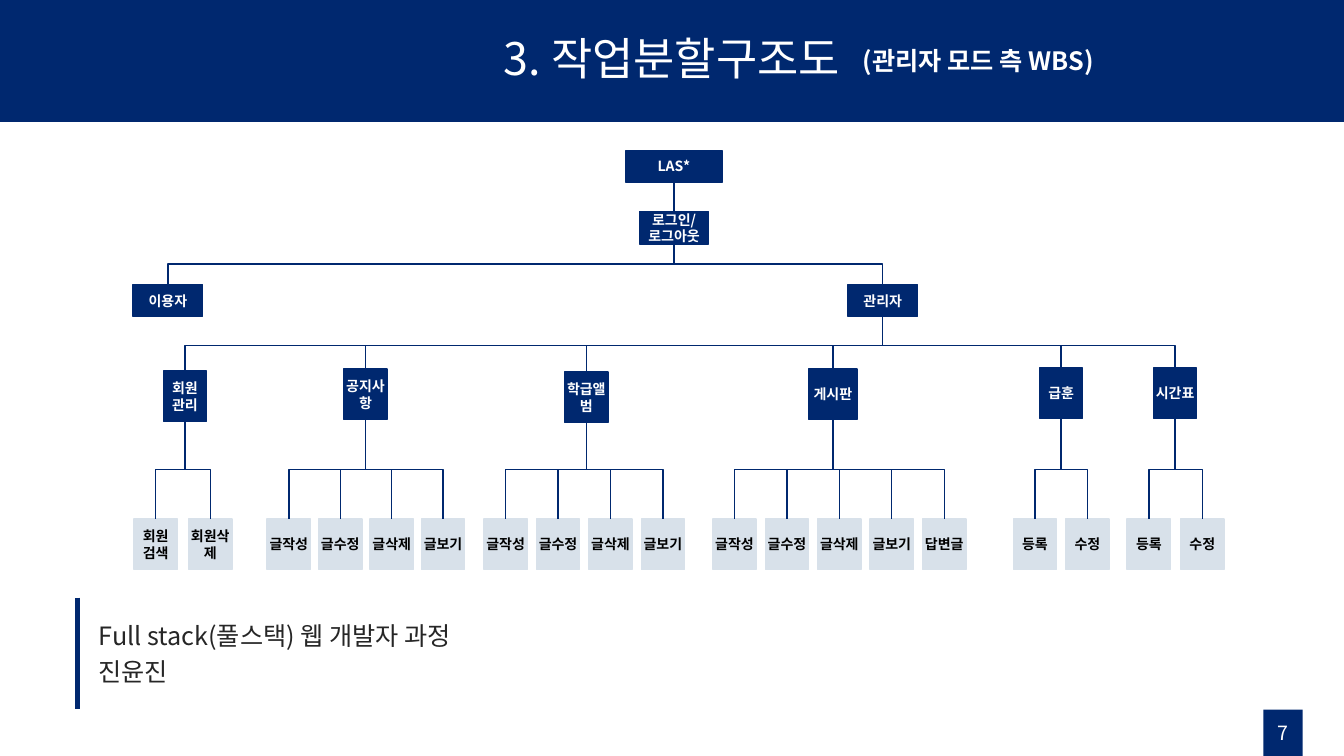
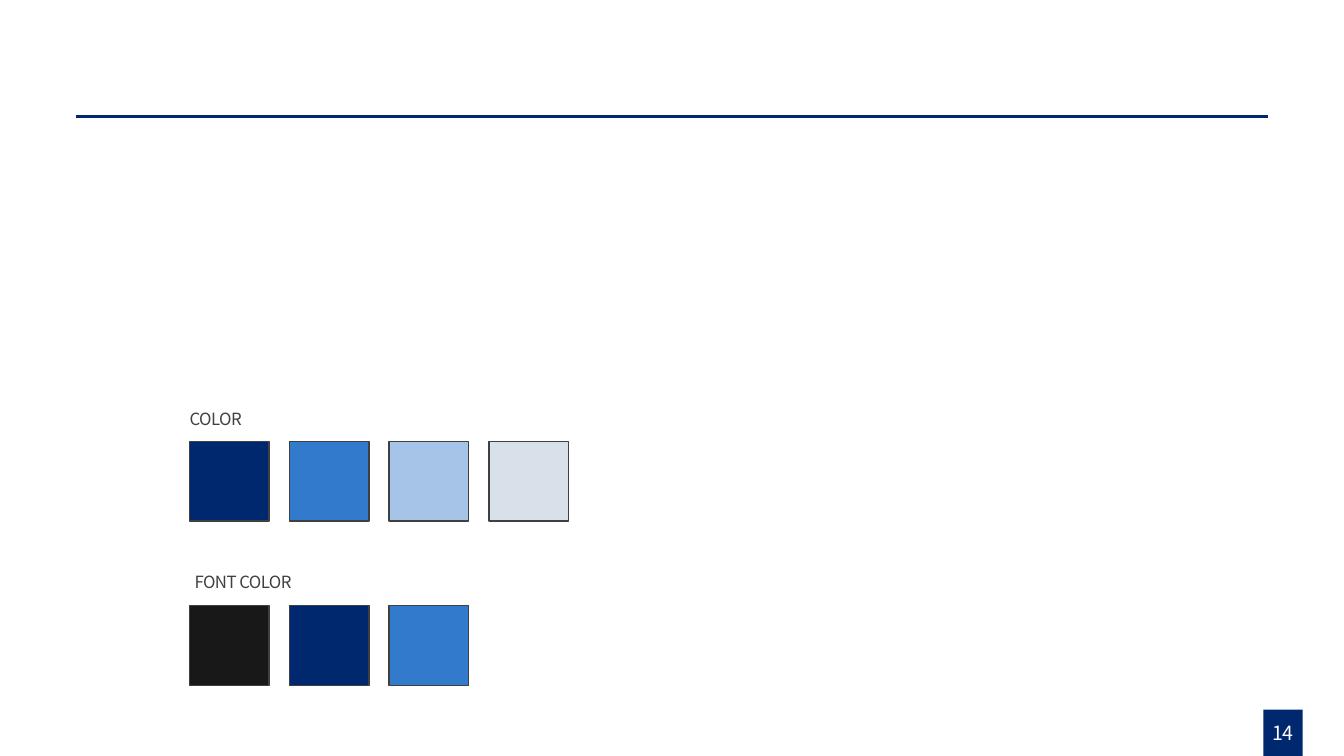
from dataclasses import dataclass

from lxml.etree import SubElement
from pptx import Presentation
from pptx.dml.color import RGBColor
from pptx.enum.shapes import MSO_CONNECTOR, MSO_SHAPE
from pptx.enum.text import MSO_ANCHOR, MSO_AUTO_SIZE, PP_ALIGN
from pptx.oxml.ns import qn
from pptx.util import Inches, Pt


@dataclass(frozen=True)
class Theme:
    font: str = "Noto Sans CJK KR"
    navy: str = "00286F"
    blue: str = "327BCC"
    sky: str = "A6C4E8"
    pale: str = "D8E1EA"
    white: str = "FFFFFF"
    black: str = "000000"
    ink: str = "181818"
    gray: str = "404040"
    dark: str = "262626"
    title: int = 32
    body: int = 18
    page: int = 14
    label: int = 12
    node: int = 10


T = Theme()
WIDE, HIGH = 13.33, 7.5

TITLE = "3. 작업분할구조도"
SUB = "(관리자 모드 측 WBS)"
CREDIT = ["Full stack(풀스택) 웹 개발자 과정", "진윤진"]

# label, box
ROOT = ("LAS*", (6.21, 1.49, 0.95, 0.32))
LOGIN = ("로그인/\n로그아웃", (6.34, 2.1, 0.69, 0.32))
USER = ("이용자", (1.32, 2.82, 0.69, 0.32))
ADMIN = ("관리자", (8.41, 2.82, 0.69, 0.32))

# label, box, left of first task, step between tasks, tasks
MENUS = [
    ("회원\n관리", (1.62, 3.68, 0.43, 0.5), 1.33, 0.54, ["회원\n검색", "회원삭제"]),
    ("공지사항", (3.41, 3.66, 0.43, 0.5), 2.65, 0.51,
     ["글작성", "글수정", "글삭제", "글보기"]),
    ("학급앨범", (5.6, 3.69, 0.43, 0.5), 4.8, 0.52,
     ["글작성", "글수정", "글삭제", "글보기"]),
    ("게시판", (8.02, 3.66, 0.48, 0.5), 7.07, 0.52,
     ["글작성", "글수정", "글삭제", "글보기", "답변글"]),
    ("급훈", (10.31, 3.65, 0.43, 0.5), 10.05, 0.52, ["등록", "수정"]),
    ("시간표", (11.44, 3.65, 0.43, 0.5), 11.18, 0.53, ["등록", "수정"]),
]
TASK_TOP, TASK_W, TASK_H = 5.15, 0.43, 0.5
ROLE_BUS, MENU_BUS, TASK_BUS = 2.62, 3.43, 4.66

# label, label left and top, swatch top, colours
PALETTES = [
    ("COLOR", 1.88, 4.06, 4.38, [T.navy, T.blue, T.sky, T.pale]),
    ("FONT COLOR", 1.93, 5.67, 6.01, [T.ink, T.navy, T.blue]),
]
SWATCH_LEFT, SWATCH, SWATCH_STEP = 1.88, 0.79, 0.99


def rgb(code):
    return RGBColor.from_string(code)


def write(shape, text, size, color, bold=False, align=PP_ALIGN.LEFT,
          anchor=MSO_ANCHOR.TOP, inset=(0.1, 0.05), lead=None, track=None,
          wrap=True):
    """Fill a shape with text, one paragraph for each line."""
    frame = shape.text_frame
    frame.word_wrap = wrap
    frame.auto_size = MSO_AUTO_SIZE.NONE
    frame.vertical_anchor = anchor
    frame.margin_left = frame.margin_right = Inches(inset[0])
    frame.margin_top = frame.margin_bottom = Inches(inset[1])
    for i, row in enumerate(text.split("\n")):
        para = frame.add_paragraph() if i else frame.paragraphs[0]
        para.alignment = align
        if lead:
            para.line_spacing = lead
        run = para.add_run()
        run.text = row
        font = run.font
        font.size, font.bold, font.name = Pt(size), bold, T.font
        font.color.rgb = rgb(color)
        props = run._r.get_or_add_rPr()
        SubElement(props, qn("a:ea")).set("typeface", T.font)
        if track:
            props.set("spc", str(round(track * 100)))


def label(slide, text, box, size, color, **form):
    shape = slide.shapes.add_textbox(*map(Inches, box))
    write(shape, text, size, color, **form)


def rect(slide, box, fill, edge=None):
    shape = slide.shapes.add_shape(MSO_SHAPE.RECTANGLE, *map(Inches, box))
    shape.shadow.inherit = False
    shape.fill.solid()
    shape.fill.fore_color.rgb = rgb(fill)
    if edge:
        shape.line.color.rgb = rgb(edge)
        shape.line.width = Pt(1)
    else:
        shape.line.fill.background()
    return shape


def line(slide, start, end, width=1, kind=MSO_CONNECTOR.STRAIGHT):
    link = slide.shapes.add_connector(kind, *map(Inches, (*start, *end)))
    link.line.color.rgb = rgb(T.navy)
    link.line.width = Pt(width)
    SubElement(link._element.spPr, qn("a:effectLst"))
    return link


def branch(slide, upper, lower, bus):
    """Run an elbow from the foot of one box, along bus, to the top of another."""
    x1, y1 = upper[0] + upper[2] / 2, upper[1] + upper[3]
    x2, y2 = lower[0] + lower[2] / 2, lower[1]
    mid_x, mid_y = (x1 + x2) / 2, (y1 + y2) / 2
    half_w, half_h = (y2 - y1) / 2, abs(x2 - x1) / 2
    link = line(slide, (mid_x - half_w, mid_y - half_h),
                (mid_x + half_w, mid_y + half_h), kind=MSO_CONNECTOR.ELBOW)
    props = link._element.spPr
    frame = props.find(qn("a:xfrm"))
    right = x2 > x1
    frame.set("rot", str((270 if right else 90) * 60000))
    if right:
        frame.set("flipH", "1")
    geom = props.find(qn("a:prstGeom"))
    guides = geom.find(qn("a:avLst"))
    if guides is None:
        guides = SubElement(geom, qn("a:avLst"))
    guide = SubElement(guides, qn("a:gd"))
    guide.set("name", "adj1")
    guide.set("fmla", f"val {round((bus - y1) / (y2 - y1) * 100000)}")


def node(slide, text, box, fill=T.navy, color=T.white):
    shape = rect(slide, box, fill, fill)
    write(shape, text, T.node, color, bold=True, align=PP_ALIGN.CENTER,
          anchor=MSO_ANCHOR.MIDDLE, inset=(0, 0))
    return shape


def footer(slide, page):
    rect(slide, (12.53, 7.04, 0.39, 0.46), T.navy)
    label(slide, str(page), (12.39, 7.1, 0.67, 0.34), T.page, T.white,
          align=PP_ALIGN.CENTER)


def header(slide, text):
    bar = slide.shapes.title
    bar.left, bar.top = Inches(0), Inches(0)
    bar.width, bar.height = Inches(WIDE), Inches(1.21)
    bar.fill.solid()
    bar.fill.fore_color.rgb = rgb(T.navy)
    write(bar, text, T.title, T.white, align=PP_ALIGN.CENTER,
          anchor=MSO_ANCHOR.MIDDLE, lead=0.9)


def tree(slide):
    root, login = node(slide, *ROOT), node(slide, *LOGIN)
    stem = line(slide, (6.69, 1.81), (6.69, 2.1))
    stem.begin_connect(root, 2)
    stem.end_connect(login, 0)
    for text, box in (USER, ADMIN):
        node(slide, text, box)
        branch(slide, LOGIN[1], box, ROLE_BUS)
    for text, box, left, step, tasks in MENUS:
        node(slide, text, box)
        branch(slide, ADMIN[1], box, MENU_BUS)
        for i, task in enumerate(tasks):
            spot = (left + i * step, TASK_TOP, TASK_W, TASK_H)
            node(slide, task, spot, T.pale, T.black)
            branch(slide, box, spot, TASK_BUS)


def chart_slide(deck):
    slide = deck.slides.add_slide(deck.slide_layouts[5])
    header(slide, TITLE)
    label(slide, SUB, (8.46, 0.4, 2.67, 0.4), T.body, T.white, bold=True)
    tree(slide)
    line(slide, (0.77, 5.93), (0.77, 7.03), 3.25)
    for i, text in enumerate(CREDIT):
        label(slide, text, (0.88, 6.02 + i * 0.36, 4.4, 0.47), T.body, T.dark,
              anchor=MSO_ANCHOR.MIDDLE, lead=1.3)
    footer(slide, 7)


def color_slide(deck):
    slide = deck.slides.add_slide(deck.slide_layouts[6])
    line(slide, (0.75, 1.16), (12.58, 1.16), 2.25)
    for text, left, top, row, colors in PALETTES:
        label(slide, text, (left, top, 1, 0.2), T.label, T.gray,
              inset=(0, 0), track=-0.4, wrap=False)
        for i, color in enumerate(colors):
            spot = (SWATCH_LEFT + i * SWATCH_STEP, row, SWATCH, SWATCH)
            rect(slide, spot, color, T.gray)
    footer(slide, 14)


def main():
    deck = Presentation()
    deck.slide_width, deck.slide_height = Inches(WIDE), Inches(HIGH)
    chart_slide(deck)
    color_slide(deck)
    deck.save("out.pptx")


if __name__ == "__main__":
    main()
